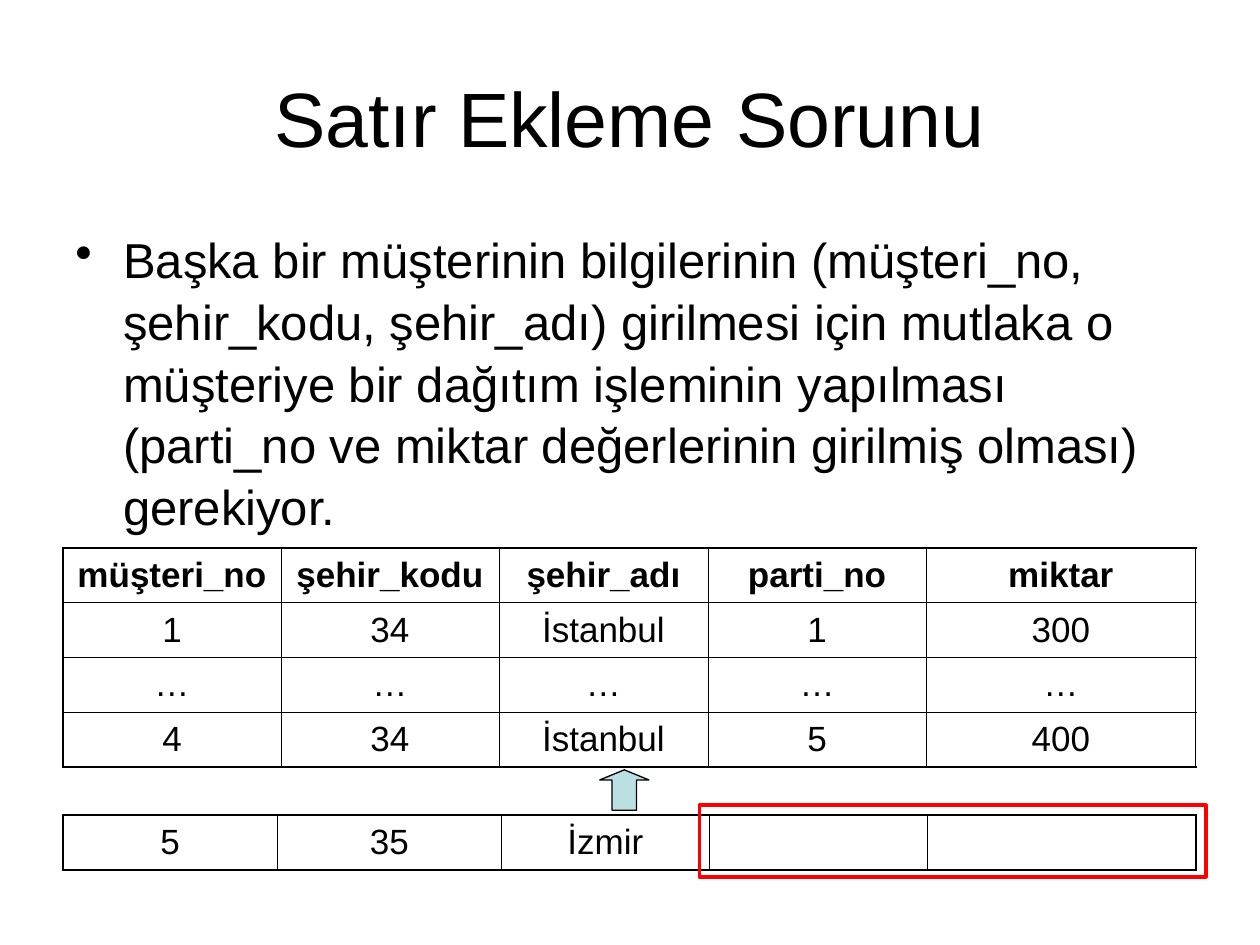
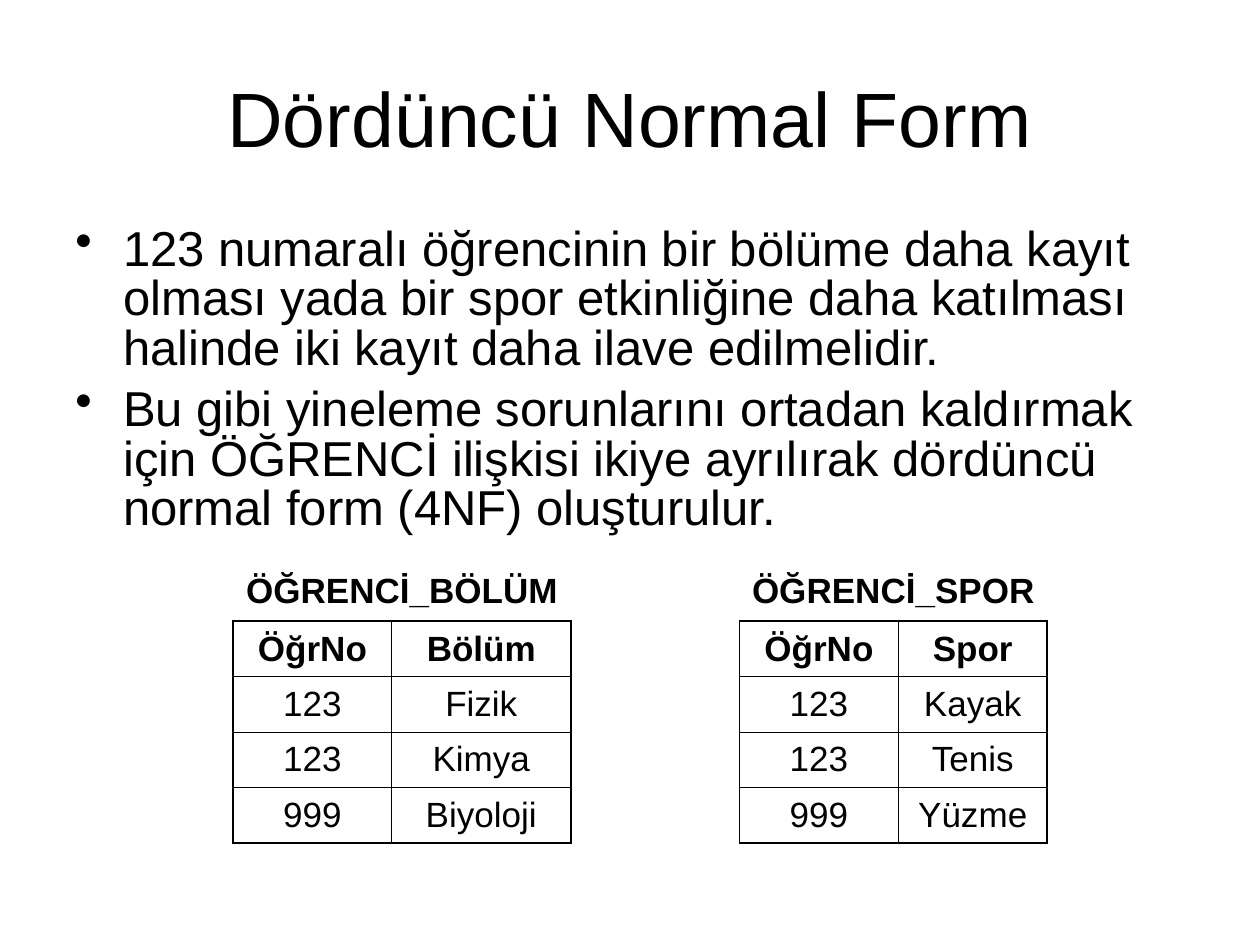
import pptx
import pptx.util
import pptx.dml.color
import pptx.enum.shapes
import pptx.enum.text
import pptx.oxml
import pptx.oxml.ns
from lxml import etree

Inches = pptx.util.Inches
Pt = pptx.util.Pt
RGBColor = pptx.dml.color.RGBColor
ALIGN = pptx.enum.text.PP_ALIGN
MIDDLE = pptx.enum.text.MSO_ANCHOR.MIDDLE
SHAPE = pptx.enum.shapes.MSO_SHAPE

BLACK = RGBColor(0x00, 0x00, 0x00)
RED = RGBColor(0xFF, 0x00, 0x00)
TEAL = RGBColor(0xBB, 0xE0, 0xE3)
FONT = "Arial"
THICK, THIN = 1.08, 0.45

INSERT = {
    "title": "Satır Ekleme Sorunu",
    "body": [
        "Başka bir müşterinin bilgilerinin (müşteri_no, şehir_kodu, şehir_adı) "
        "girilmesi için mutlaka o müşteriye bir dağıtım işleminin yapılması "
        "(parti_no ve miktar değerlerinin girilmiş olması) gerekiyor.",
    ],
    "pitch": 1.05,
    "tables": [
        {"at": (0.5, 4.35), "cols": (1.73, 1.73, 1.66, 1.73, 2.14),
         "high": 0.43, "head": True, "rows": [
            ("müşteri_no", "şehir_kodu", "şehir_adı", "parti_no", "miktar"),
            ("1", "34", "İstanbul", "1", "300"),
            ("…", "…", "…", "…", "…"),
            ("4", "34", "İstanbul", "5", "400")]},
        {"at": (0.5, 6.47), "cols": (1.7, 1.78, 1.65, 1.73, 2.13),
         "high": 0.43, "head": False,
         "rows": [("5", "35", "İzmir", "", "")]},
    ],
    "marks": [
        (SHAPE.UP_ARROW, (4.76, 6.11, 0.39, 0.32), TEAL, BLACK, 0.75),
        (SHAPE.RECTANGLE, (5.55, 6.39, 4.02, 0.57), None, RED, 2),
    ],
}

FOURTH = {
    "title": "Dördüncü Normal Form",
    "body": [
        "123 numaralı öğrencinin bir bölüme daha kayıt olması yada bir spor "
        "etkinliğine daha katılması halinde iki kayıt daha ilave edilmelidir.",
        "Bu gibi yineleme sorunlarını ortadan kaldırmak için ÖĞRENCİ ilişkisi "
        "ikiye ayrılırak dördüncü normal form (4NF) oluşturulur.",
    ],
    "pitch": 0.84,
    "tables": [
        {"name": "ÖĞRENCİ_BÖLÜM", "at": (1.85, 4.93), "cols": (1.26, 1.42),
         "high": 0.44, "head": True, "rows": [
            ("ÖğrNo", "Bölüm"), ("123", "Fizik"),
            ("123", "Kimya"), ("999", "Biyoloji")]},
        {"name": "ÖĞRENCİ_SPOR", "at": (5.87, 4.93), "cols": (1.26, 1.18),
         "high": 0.44, "head": True, "rows": [
            ("ÖğrNo", "Spor"), ("123", "Kayak"),
            ("123", "Tenis"), ("999", "Yüzme")]},
    ],
    "marks": [],
}


def style(para, size, bold=False, align=ALIGN.CENTER):
    para.alignment = align
    font = para.font
    font.name, font.size, font.bold = FONT, Pt(size), bold
    font.color.rgb = BLACK


def add_box(slide, spot, wrap=True):
    frame = slide.shapes.add_textbox(*map(Inches, spot)).text_frame
    frame.word_wrap = wrap
    return frame


def add_title(slide, text):
    frame = add_box(slide, (0.5, 0.3, 9, 1.25))
    frame.vertical_anchor = MIDDLE
    frame.text = text
    style(frame.paragraphs[0], 44)


def add_body(slide, items, pitch):
    frame = add_box(slide, (0.5, 1.75, 9, 2.55))
    for i, text in enumerate(items):
        para = frame.add_paragraph() if i else frame.paragraphs[0]
        para.text = text
        para.line_spacing = pitch
        if i:
            para.space_before = Pt(7)
        props = para._p.get_or_add_pPr()
        props.set("marL", str(Inches(0.38)))
        props.set("indent", str(Inches(-0.38)))
        etree.SubElement(props, pptx.oxml.ns.qn("a:buChar")).set("char", "•")
        style(para, 28, align=ALIGN.LEFT)


def set_edge(cell, side, width):
    props = cell._tc.get_or_add_tcPr()
    edge = etree.SubElement(props, pptx.oxml.ns.qn("a:ln" + side))
    edge.set("w", str(Pt(width)))
    fill = etree.SubElement(edge, pptx.oxml.ns.qn("a:solidFill"))
    etree.SubElement(fill, pptx.oxml.ns.qn("a:srgbClr")).set("val", str(BLACK))


def add_grid(slide, data):
    rows, cols = data["rows"], data["cols"]
    left, top = data["at"]
    wide, high = sum(cols), data["high"]
    if "name" in data:
        frame = add_box(slide, (left, top - 0.47, wide, 0.44), wrap=False)
        frame.text = data["name"]
        style(frame.paragraphs[0], 20, bold=True)
    spot = map(Inches, (left, top, wide, high * len(rows)))
    table = slide.shapes.add_table(len(rows), len(cols), *spot).table
    table.first_row = table.horz_banding = False
    for col, width in zip(table.columns, cols):
        col.width = Inches(width)
    for r, row in enumerate(rows):
        table.rows[r].height = Inches(high)
        for c, text in enumerate(row):
            cell = table.cell(r, c)
            cell.text = text
            cell.vertical_anchor = MIDDLE
            style(cell.text_frame.paragraphs[0], 20, data["head"] and r == 0)
            outer = {"L": c == 0, "R": c == len(cols) - 1,
                     "T": r == 0, "B": r == len(rows) - 1}
            for side, thick in outer.items():
                set_edge(cell, side, THICK if thick else THIN)
            cell.fill.background()


def add_mark(slide, kind, spot, fill, line, width):
    mark = slide.shapes.add_shape(kind, *map(Inches, spot))
    mark.shadow.inherit = False
    if fill is None:
        mark.fill.background()
    else:
        mark.fill.solid()
        mark.fill.fore_color.rgb = fill
    if kind == SHAPE.UP_ARROW:
        mark.adjustments[0], mark.adjustments[1] = 0.5, 0.25
    mark.line.color.rgb = line
    mark.line.width = Pt(width)


def main():
    deck = pptx.Presentation()
    deck.slide_width, deck.slide_height = Inches(10), Inches(7.5)
    for page in (INSERT, FOURTH):
        slide = deck.slides.add_slide(deck.slide_layouts[6])
        add_body(slide, page["body"], page["pitch"])
        add_title(slide, page["title"])
        for data in page["tables"]:
            add_grid(slide, data)
        for mark in page["marks"]:
            add_mark(slide, *mark)
    deck.save("out.pptx")


if __name__ == "__main__":
    main()
